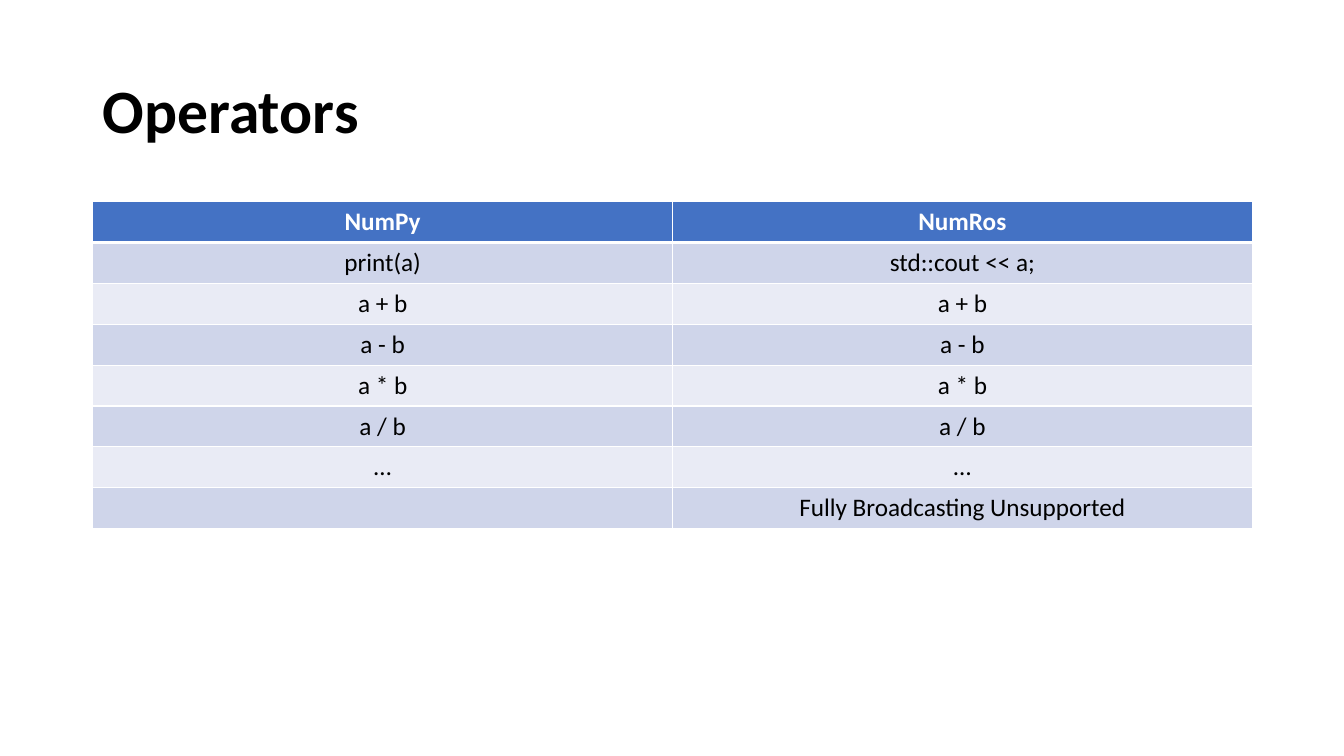
import pptx
import pptx.util
import pptx.dml.color
import pptx.enum.text
import pptx.oxml
import pptx.oxml.ns

Inches, Pt = pptx.util.Inches, pptx.util.Pt
RGBColor = pptx.dml.color.RGBColor
ALIGN = pptx.enum.text.PP_ALIGN
ANCHOR = pptx.enum.text.MSO_ANCHOR

BLACK = RGBColor(0x00, 0x00, 0x00)
WHITE = RGBColor(0xFF, 0xFF, 0xFF)
BLUE = RGBColor(0x44, 0x72, 0xC4)
BANDS = [RGBColor(0xE9, 0xEB, 0xF5), RGBColor(0xCF, 0xD5, 0xEA)]

LEFT, WIDTH = Inches(0.92), Inches(11.5)
ROW = Inches(0.405)
MATHS = ["a + b", "a - b", "a * b", "a / b", "…"]
ROWS = [
    ("NumPy", "NumRos"),
    ("print(a)", "std::cout << a;"),
    *[(term, term) for term in MATHS],
    ("", "Fully Broadcasting Unsupported"),
]

TITLE = {"name": "Calibri", "size": Pt(44), "bold": True}
HEAD = {"name": "Calibri", "size": Pt(18), "bold": True}
BODY = {**HEAD, "bold": False}


def style(item, values):
    for key, value in values.items():
        setattr(item, key, value)


def add_title(slide, text):
    title = slide.shapes.title
    style(title, {"left": LEFT, "top": Inches(0.4),
                  "width": WIDTH, "height": Inches(1.45)})
    frame = title.text_frame
    frame.text = text
    style(frame, {"vertical_anchor": ANCHOR.MIDDLE, "word_wrap": True,
                  "auto_size": pptx.enum.text.MSO_AUTO_SIZE.NONE})
    para = frame.paragraphs[0]
    style(para, {"alignment": ALIGN.LEFT, "line_spacing": 0.9})
    style(para.font, TITLE)
    para.font.color.rgb = BLACK


def add_edge(cell, side, width):
    # Cell borders must come before the fill
    space = pptx.oxml.ns.nsdecls("a")
    edge = pptx.oxml.parse_xml(
        f'<a:ln{side} {space} w="{Pt(width)}"><a:solidFill>'
        f'<a:srgbClr val="{WHITE}"/></a:solidFill></a:ln{side}>')
    cell._tc.get_or_add_tcPr().append(edge)


def fill_cell(cell, text, row):
    head = row == 0
    widths = {"L": 1, "R": 1, "T": 3 if row == 1 else 1, "B": 3 if head else 1}
    for side, width in widths.items():
        add_edge(cell, side, width)
    cell.fill.solid()
    cell.fill.fore_color.rgb = BLUE if head else BANDS[row % 2]
    cell.text = text
    para = cell.text_frame.paragraphs[0]
    para.alignment = ALIGN.CENTER
    style(para.font, HEAD if head else BODY)
    para.font.color.rgb = WHITE if head else BLACK


def add_grid(slide, rows):
    count, wide = len(rows), len(rows[0])
    table = slide.shapes.add_table(
        count, wide, LEFT, Inches(2), WIDTH, ROW * count).table
    for row, texts in enumerate(rows):
        for col, text in enumerate(texts):
            fill_cell(table.cell(row, col), text, row)


def main():
    deck = pptx.Presentation()
    style(deck, {"slide_width": Inches(13.33), "slide_height": Inches(7.5)})
    slide = deck.slides.add_slide(deck.slide_layouts[5])  # title only
    add_title(slide, "Operators")
    add_grid(slide, ROWS)
    deck.save("out.pptx")


if __name__ == "__main__":
    main()
